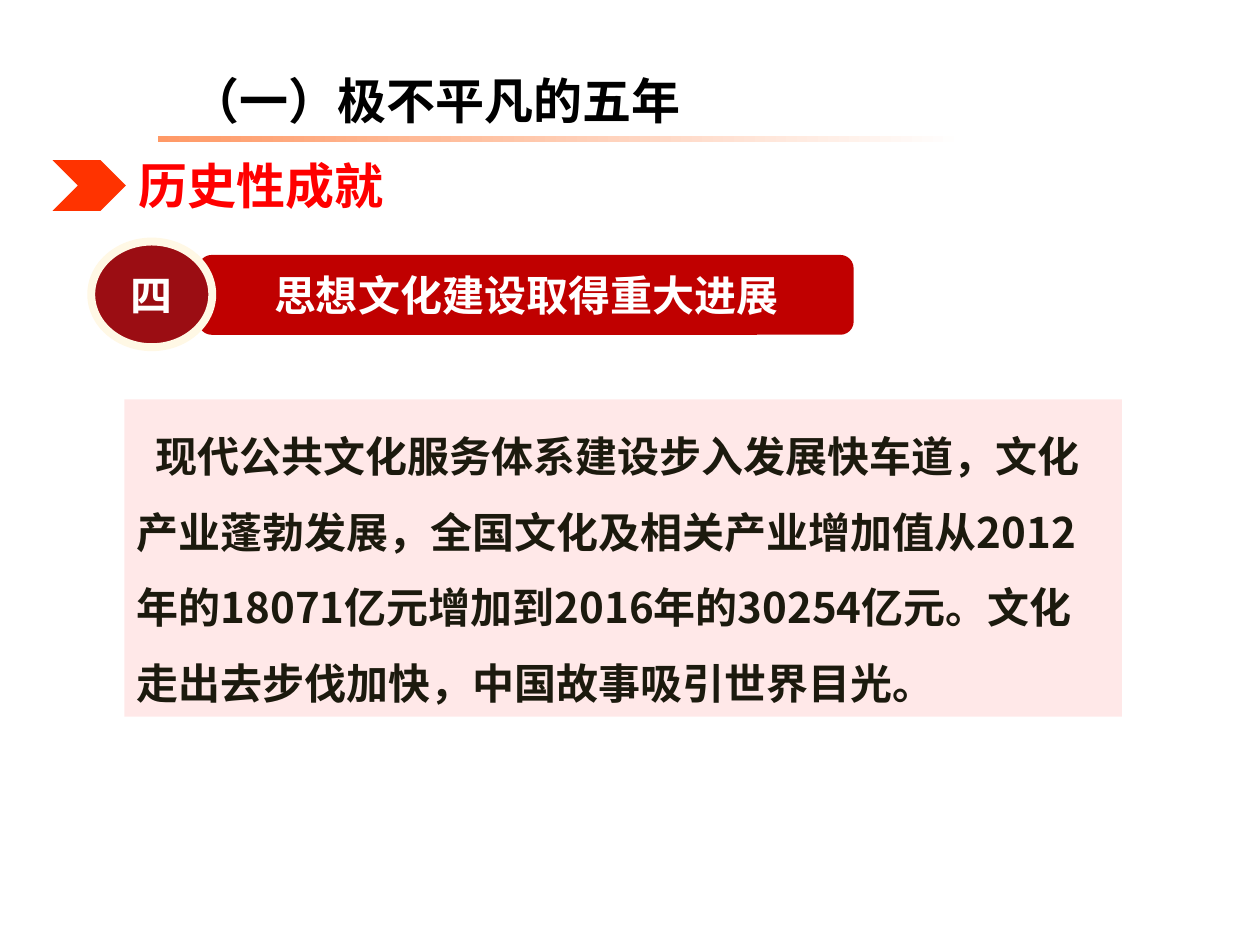
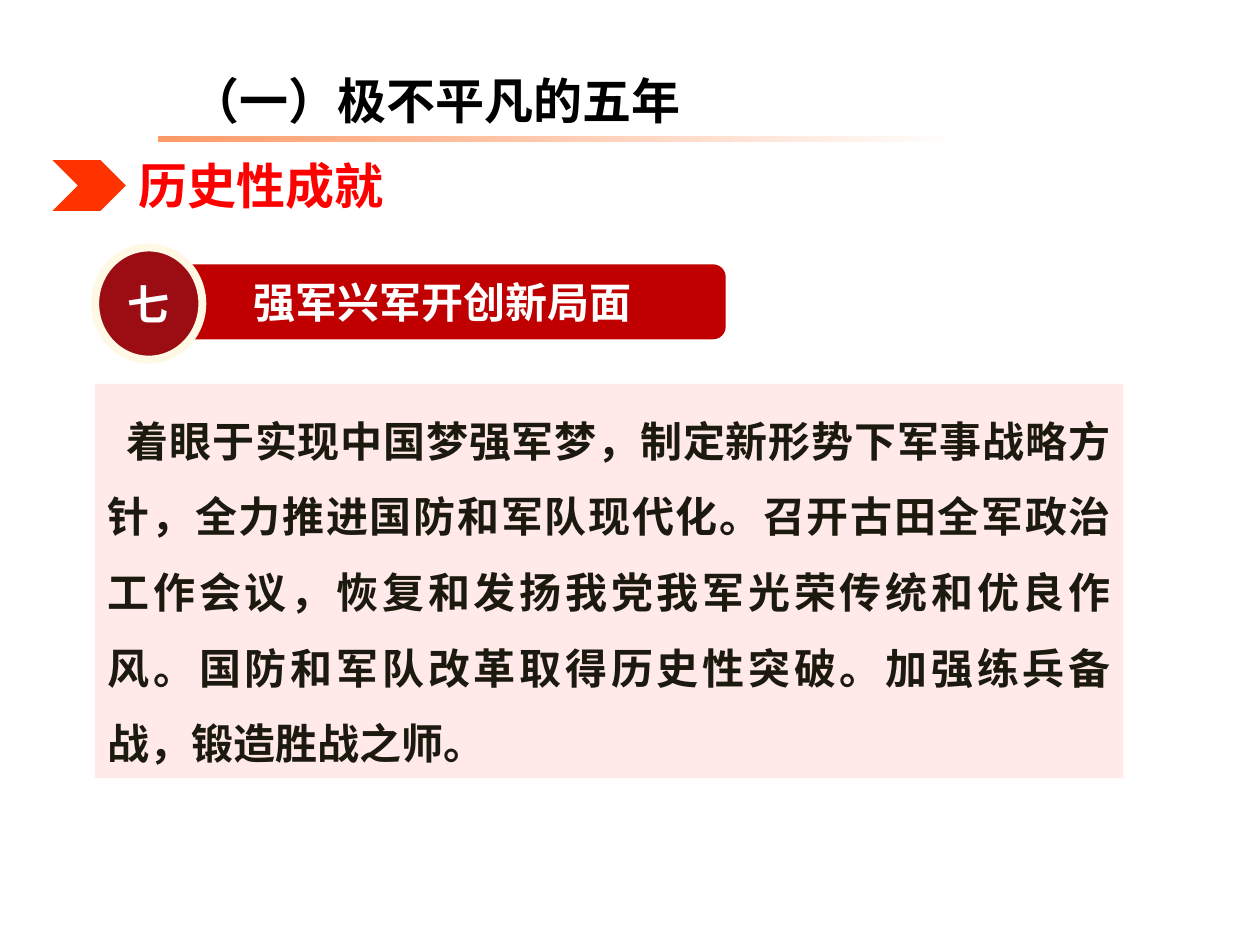
from lxml.etree import SubElement
from pptx import Presentation
from pptx.dml.color import RGBColor
from pptx.enum.shapes import MSO_SHAPE
from pptx.enum.text import MSO_ANCHOR, MSO_AUTO_SIZE, PP_ALIGN
from pptx.oxml.ns import qn
from pptx.util import Cm, Pt

# Content: boxes are (left, top, width, height) in cm
TITLE = "（一）极不平凡的五年"
SUBTITLE = "历史性成就"
SLIDES = [
    {
        "number": "四", "badge": (1.84, 4.87, 2.44, 2.13),
        "heading": "思想文化建设取得重大进展", "banner": (4, 5.14, 13.21, 1.61),
        "body": "现代公共文化服务体系建设步入发展快车道，文化产业蓬勃发展，"
                "全国文化及相关产业增加值从2012年的18071亿元增加到2016年的30254亿元。"
                "文化走出去步伐加快，中国故事吸引世界目光。",
        "panel": (2.51, 8.05, 20.11, 6.4), "opacity": 35, "align": PP_ALIGN.LEFT,
    },
    {
        "number": "七", "badge": (1.92, 4.99, 2.16, 2.26),
        "heading": "强军兴军开创新局面", "banner": (3.23, 5.33, 11.4, 1.51),
        "body": "着眼于实现中国梦强军梦，制定新形势下军事战略方针，全力推进国防和军队现代化。"
                "召开古田全军政治工作会议，恢复和发扬我党我军光荣传统和优良作风。"
                "国防和军队改革取得历史性突破。加强练兵备战，锻造胜战之师。",
        "panel": (1.92, 7.74, 20.73, 7.95), "opacity": 33, "align": PP_ALIGN.JUSTIFY,
    },
]

# Shared style
FONT = "Noto Sans CJK SC"
COLORS = {
    "title": "000000", "subtitle": "FF0000", "rule": "FF9966", "white": "FFFFFF",
    "chevron": "FF3300", "banner": "C00000", "badge": "9B0D13", "ring": "FFF8E5",
    "panel": "FFBFBF", "body": "1C1A0E",
}


def rgb(name):
    return RGBColor.from_string(COLORS[name])


def add_shape(s, kind, box, fill):
    sp = s.shapes.add_shape(kind, *map(Cm, box))
    sp.shadow.inherit = False
    sp.fill.solid()
    sp.fill.fore_color.rgb = rgb(fill)
    sp.line.fill.background()
    return sp


def set_text(sp, text, size, color, align=PP_ALIGN.LEFT, anchor=MSO_ANCHOR.TOP, spacing=None):
    tf = sp.text_frame
    tf.text = text
    tf.word_wrap = True
    tf.vertical_anchor = anchor
    p = tf.paragraphs[0]
    p.alignment = align
    p.line_spacing = spacing
    r = p.runs[0]
    r.font.name, r.font.size, r.font.bold = FONT, Pt(size), True
    r.font.color.rgb = rgb(color)
    SubElement(r.font._element, qn("a:ea"), typeface=FONT)
    return p


def add_text(s, box, text, color, spacing=None):
    sp = s.shapes.add_textbox(*map(Cm, box))
    set_text(sp, text, 28, color, spacing=spacing)
    sp.text_frame.auto_size = MSO_AUTO_SIZE.SHAPE_TO_FIT_TEXT


def add_header(s):
    add_text(s, (3.6, 1.07, 15.57, 1.5), TITLE, "title", 1.2)
    rule = add_shape(s, MSO_SHAPE.RECTANGLE, (3.18, 2.75, 16.26, 0.12), "rule")
    rule.fill.gradient()
    rule.fill.gradient_angle = 0
    for stop, name in zip(rule.fill.gradient_stops, ("rule", "white")):
        stop.color.rgb = rgb(name)
    add_shape(s, MSO_SHAPE.CHEVRON, (1.06, 3.23, 1.48, 1.02), "chevron")
    add_text(s, (2.54, 3.02, 14.6, 1.45), SUBTITLE, "subtitle")


def add_heading(s, item):
    banner = add_shape(s, MSO_SHAPE.ROUNDED_RECTANGLE, item["banner"], "banner")
    badge = add_shape(s, MSO_SHAPE.OVAL, item["badge"], "badge")
    badge.line.color.rgb = rgb("ring")
    badge.line.width = Pt(4.5)
    for sp, text in ((banner, item["heading"]), (badge, item["number"])):
        set_text(sp, text, 24, "white", PP_ALIGN.CENTER, MSO_ANCHOR.MIDDLE)


def add_panel(s, item):
    sp = add_shape(s, MSO_SHAPE.RECTANGLE, item["panel"], "panel")
    color = sp.fill._xPr.find(qn("a:solidFill"))[0]
    SubElement(color, qn("a:alpha"), val=str(item["opacity"] * 1000))
    p = set_text(sp, item["body"], 24, "body", item["align"], spacing=1.5)
    # First-line indent, and punctuation kept inside the panel
    pPr = p._p.get_or_add_pPr()
    pPr.set("indent", str(Cm(0.38)))
    pPr.set("hangingPunct", "0")
    sp.text_frame.auto_size = MSO_AUTO_SIZE.SHAPE_TO_FIT_TEXT


def main():
    prs = Presentation()
    prs.slide_width, prs.slide_height = Cm(25.4), Cm(19.05)
    for item in SLIDES:
        s = prs.slides.add_slide(prs.slide_layouts[6])
        add_header(s)
        add_heading(s, item)
        add_panel(s, item)
    prs.save("out.pptx")


if __name__ == "__main__":
    main()
